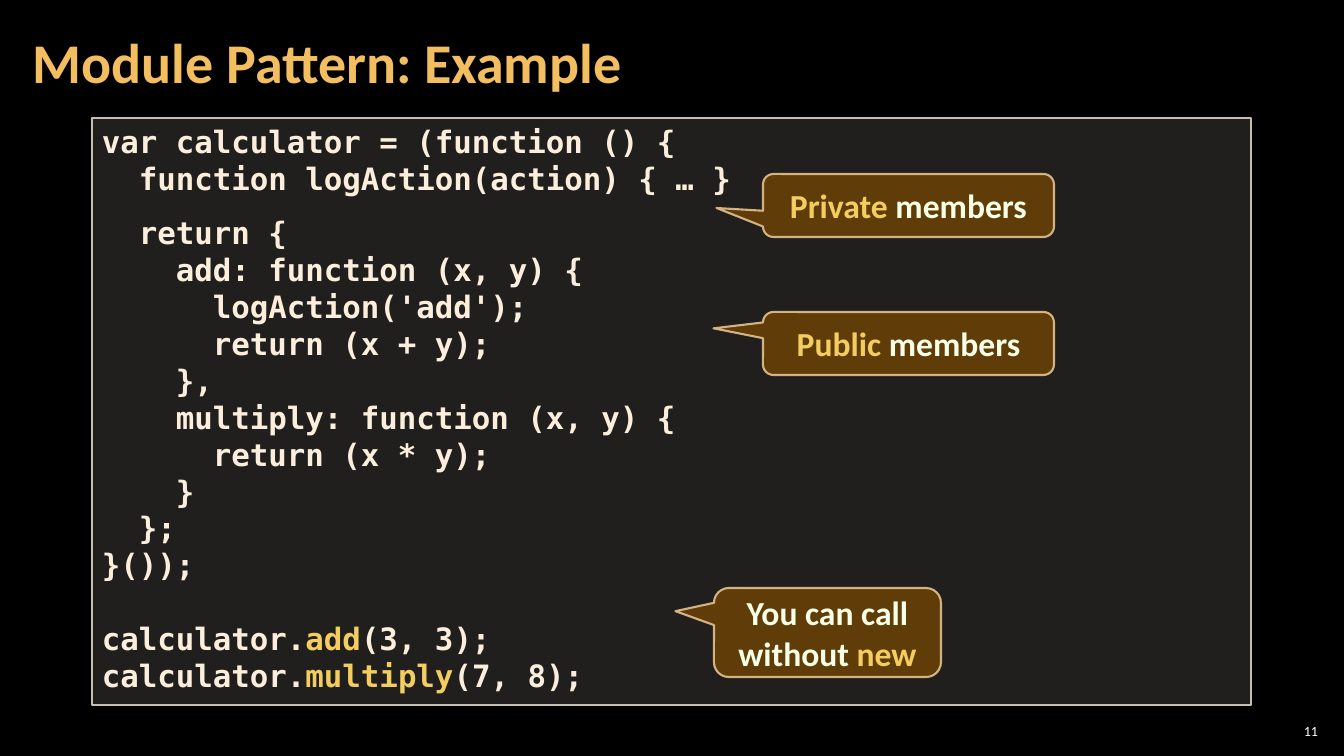
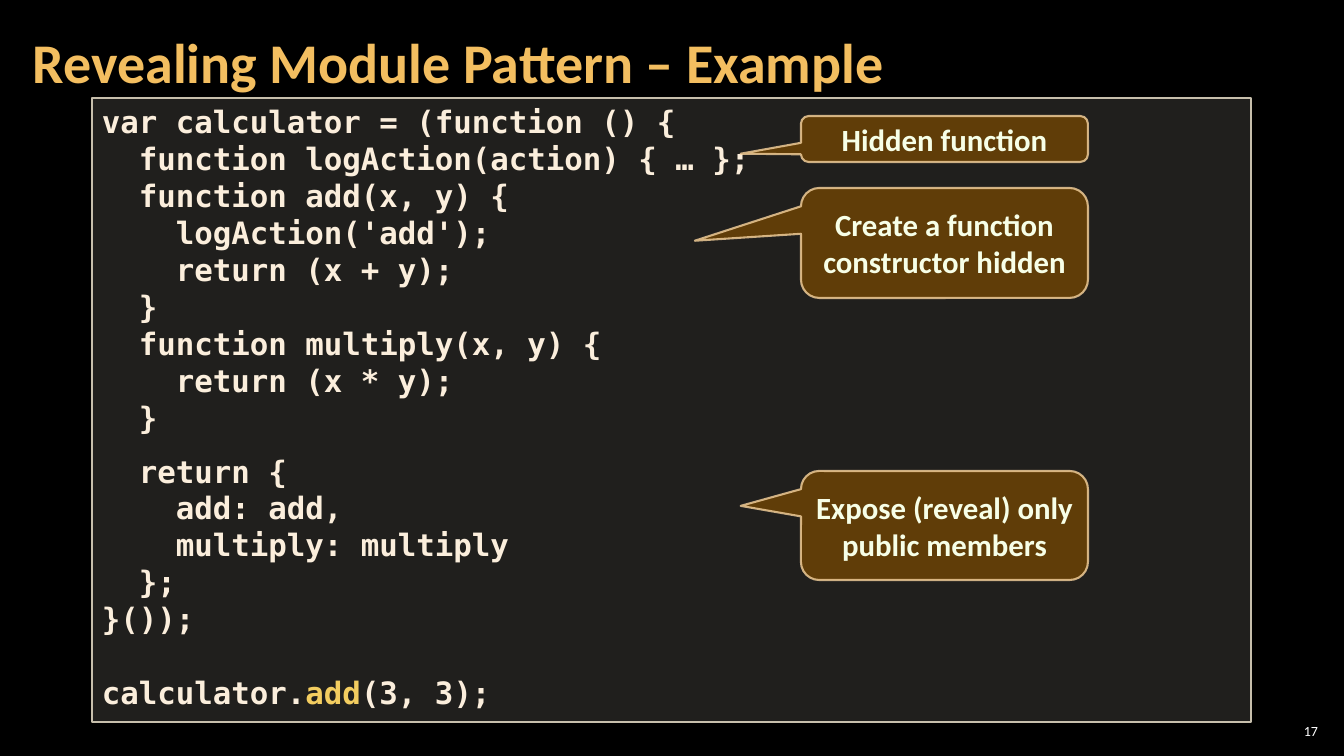
from lxml.etree import SubElement
from pptx import Presentation
from pptx.dml.color import RGBColor
from pptx.enum.shapes import MSO_SHAPE
from pptx.enum.text import MSO_ANCHOR, MSO_AUTO_SIZE, PP_ALIGN
from pptx.oxml.ns import qn
from pptx.util import Emu, Pt

RECT, CALLOUT = MSO_SHAPE.RECTANGLE, MSO_SHAPE.ROUNDED_RECTANGULAR_CALLOUT
TOP, MIDDLE = MSO_ANCHOR.TOP, MSO_ANCHOR.MIDDLE
LEFT, CENTER, RIGHT = PP_ALIGN.LEFT, PP_ALIGN.CENTER, PP_ALIGN.RIGHT
FIXED, GROW = MSO_AUTO_SIZE.NONE, MSO_AUTO_SIZE.SHAPE_TO_FIT_TEXT

BLACK = RGBColor(0x00, 0x00, 0x00)
WHITE = RGBColor(0xFF, 0xFF, 0xFF)
ORANGE = RGBColor(0xF3, 0xBE, 0x60)
YELLOW = RGBColor(0xF3, 0xCD, 0x60)
CREAM = RGBColor(0xFB, 0xEE, 0xDC)
IVORY = RGBColor(0xF7, 0xFF, 0xE7)
PANEL = RGBColor(0xD9, 0xD5, 0xC7)
PANEL_EDGE = RGBColor(0xC7, 0xBF, 0xAC)
BROWN = RGBColor(0x64, 0x3F, 0x07)
TAN = RGBColor(0xF8, 0xD4, 0x9E)

SANS, MONO = "Calibri", "DejaVu Sans Mono"
EMU_PER_PX = 914400 / 100.8
INDENT = 37
HALF_GAP, LINE_GAP = Pt(12), Pt(26)


def px(n):
    return Emu(round(n * EMU_PER_PX))


def margins(x, y):
    return dict(margin_left=px(x), margin_right=px(x),
                margin_top=px(y), margin_bottom=px(y))


class Deck:
    TITLE = dict(name=SANS, size=Pt(40), bold=True)
    NUMBER = dict(name=SANS, size=Pt(10), bold=False)
    CODE = dict(name=MONO, size=Pt(22), bold=True)

    def __init__(self):
        self.prs = Presentation()
        self.prs.slide_width, self.prs.slide_height = px(1344), px(756)
        fill = self.prs.slide_master.background.fill
        fill.solid()
        fill.fore_color.rgb = BLACK
        self.s = None

    def apply(self, target, values):
        for name, value in values.items():
            setattr(target, name, value)

    def place(self, sp, box):
        self.apply(sp, dict(zip(("left", "top", "width", "height"), map(px, box))))

    def frame(self, sp, **values):
        self.apply(sp.text_frame, dict(word_wrap=True, auto_size=FIXED,
                                       vertical_anchor=MIDDLE) | values)
        return sp.text_frame

    def text(self, p, text, font, color, **values):
        self.apply(p, values)
        for i, part in enumerate(text.split("|")):
            if part:
                r = p.add_run()
                r.text = part
                self.apply(r.font, font)
                r.font.color.rgb = YELLOW if i % 2 else color

    def shape(self, kind, box, fill, line, width, alphas):
        sp = self.s.shapes.add_shape(kind, *map(px, box))
        sp.shadow.inherit = False
        sp.fill.solid()
        sp.fill.fore_color.rgb = fill
        sp.line.color.rgb = line
        sp.line.width = Pt(width)
        for color, alpha in zip(sp._element.spPr.iter(qn("a:srgbClr")), alphas):
            SubElement(color, qn("a:alpha")).set("val", str(alpha * 1000))
        return sp

    def slide(self, title, number):
        self.s = self.prs.slides.add_slide(self.prs.slide_layouts[5])
        sp = self.s.shapes.title
        self.place(sp, (21, 4, 1055, 122))
        tf = self.frame(sp, **margins(12, 4))
        self.text(tf.paragraphs[0], title, self.TITLE, ORANGE,
                  alignment=LEFT, line_spacing=0.9)
        sp = self.s.shapes.add_textbox(*map(px, (1275, 720, 47, 21)))
        tf = self.frame(sp, **margins(4, 4))
        self.text(tf.paragraphs[0], number, self.NUMBER, WHITE, alignment=RIGHT)

    def code(self, top, height, blocks):
        sp = self.shape(RECT, (92, top, 1159, height), PANEL, PANEL_EDGE, 1, (15, 100))
        tf = self.frame(sp, vertical_anchor=TOP, auto_size=GROW)
        p = tf.paragraphs[0]
        for gap, block in blocks:
            for i, line in enumerate(block.strip("\n").split("\n")):
                if p.runs:
                    p = tf.add_paragraph()
                text = line.lstrip()
                level = (len(line) - len(text)) // 2
                p._p.get_or_add_pPr().set("marL", str(px(level * INDENT)))
                self.text(p, text, self.CODE, CREAM, alignment=LEFT,
                          space_before=Pt(0) if i else gap)

    def callout(self, box, tip, text, size):
        sp = self.shape(CALLOUT, box, BROWN, TAN, 1.5, (95, 80))
        for i, value in enumerate(tip):
            sp.adjustments[i] = value
        font = dict(name=SANS, size=Pt(size), bold=True)
        self.text(self.frame(sp).paragraphs[0], text, font, IVORY, alignment=CENTER)


MODULE_CODE = [
    (Pt(0), """
var calculator = (function () {
  function logAction(action) { … }
"""),
    (HALF_GAP, """
  return {
    add: function (x, y) {
      logAction('add');
      return (x + y);
    },
    multiply: function (x, y) {
      return (x * y);
    }
  };
}());
"""),
    (LINE_GAP, """
calculator.|add|(3, 3);
calculator.|multiply|(7, 8);
"""),
]
MODULE_CALLOUTS = [
    ((763, 174, 291, 63), (-0.66, 0.04), "|Private |members"),
    ((763, 312, 291, 63), (-0.67, -0.24), "|Public |members"),
    ((714, 588, 227, 89), (-0.67, -0.24), "You can call without |new|"),
]

REVEALING_CODE = [
    (Pt(0), """
var calculator = (function () {
  function logAction(action) { … };
  function add(x, y) {
    logAction('add');
    return (x + y);
  }
  function multiply(x, y) {
    return (x * y);
  }
"""),
    (HALF_GAP, """
  return {
    add: add,
    multiply: multiply
  };
}());
"""),
    (LINE_GAP, """
calculator.|add|(3, 3);
"""),
]
REVEALING_CALLOUTS = [
    ((801, 188, 287, 110), (-0.87, -0.02), "Create a function constructor hidden"),
    ((801, 116, 287, 46), (-0.71, 0.32), "Hidden function"),
    ((801, 471, 287, 109), (-0.71, -0.18), "Expose (reveal) only public members"),
]

SLIDES = [
    ("Module Pattern: Example", "11", 118, 587, MODULE_CODE, MODULE_CALLOUTS, 24),
    ("Revealing Module Pattern – Example", "17", 98, 624,
     REVEALING_CODE, REVEALING_CALLOUTS, 22),
]


def main():
    deck = Deck()
    for title, number, top, height, blocks, callouts, size in SLIDES:
        deck.slide(title, number)
        deck.code(top, height, blocks)
        for box, tip, text in callouts:
            deck.callout(box, tip, text, size)
    deck.prs.save("out.pptx")


if __name__ == "__main__":
    main()
